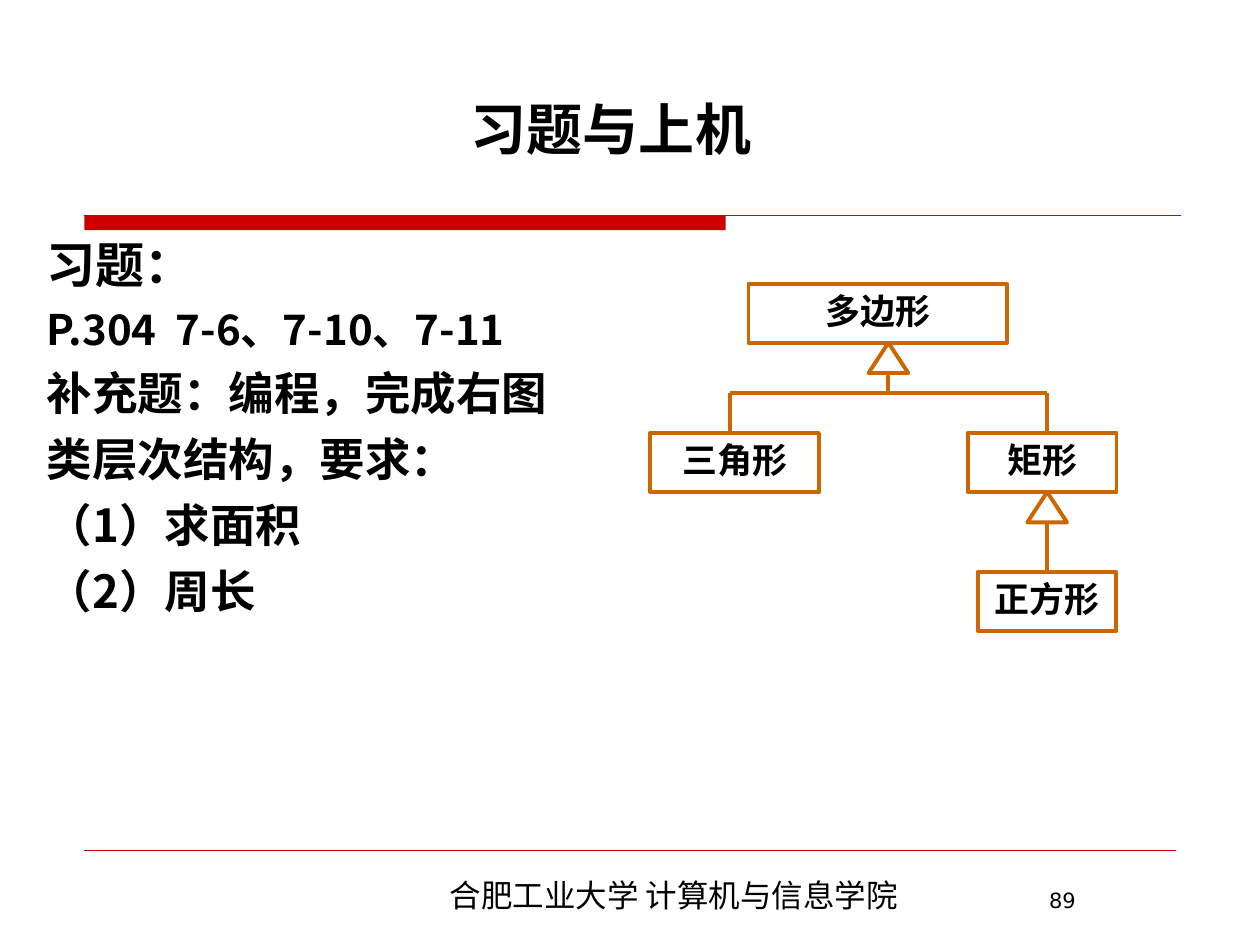
import pptx
import pptx.dml.color
import pptx.enum.shapes
import pptx.enum.text
import pptx.oxml.ns
import pptx.util
from lxml import etree

Cm, Pt = pptx.util.Cm, pptx.util.Pt
ALIGN = pptx.enum.text.PP_ALIGN
ANCHOR = pptx.enum.text.MSO_ANCHOR
SHAPE = pptx.enum.shapes.MSO_SHAPE
qn = pptx.oxml.ns.qn

COLORS = {"text": "000000", "rule": "CC0000", "diagram": "CC6600"}
CJK_FONT = "Noto Sans CJK SC"

BODY = [
    ("习题：", 28),
    ("P.304  7-6、7-10、7-11", 24),
    ("补充题：编程，完成右图", 26),
    ("类层次结构，要求：", 26),
    ("（1）求面积", 26),
    ("（2）周长", 26),
]

BOX_H = 1.19
CLASSES = [  # name, left, top, width
    ("多边形", 15.09, 5.72, 5.21),
    ("三角形", 13.11, 8.73, 3.4),
    ("矩形", 19.51, 8.73, 3.0),
    ("正方形", 19.71, 11.53, 2.79),
]
ARROW_W, ARROW_H = 0.8, 0.61
BUS_Y = 7.92
LEFT_X, ROOT_X, RIGHT_X = 14.71, 17.91, 21.11


def rgb(name):
    return pptx.dml.color.RGBColor.from_string(COLORS[name])


def place(sp, left, top, width, height):
    sp.left, sp.top, sp.width, sp.height = Cm(left), Cm(top), Cm(width), Cm(height)


def format_runs(p, size, font=CJK_FONT, bold=False):
    for r in p.runs:
        r.font.size, r.font.bold, r.font.name = Pt(size), bold, font
        r.font.color.rgb = rgb("text")
        ea = etree.SubElement(r._r.get_or_add_rPr(), qn("a:ea"))
        ea.set("typeface", CJK_FONT)


def add_line(slide, x1, y1, x2, y2, color="diagram", width=2.25):
    line = slide.shapes.add_connector(
        pptx.enum.shapes.MSO_CONNECTOR.STRAIGHT, Cm(x1), Cm(y1), Cm(x2), Cm(y2))
    line.line.color.rgb = rgb(color)
    line.line.width = Pt(width)
    etree.SubElement(line._element.spPr, qn("a:effectLst"))


def add_outline(slide, kind, left, top, width, height):
    sp = slide.shapes.add_shape(kind, Cm(left), Cm(top), Cm(width), Cm(height))
    sp.shadow.inherit = False
    sp.fill.background()
    sp.line.color.rgb = rgb("diagram")
    sp.line.width = Pt(2.25)
    return sp


def add_class_box(slide, name, left, top, width):
    tf = add_outline(slide, SHAPE.RECTANGLE, left, top, width, BOX_H).text_frame
    tf.margin_left = tf.margin_right = tf.margin_top = tf.margin_bottom = 0
    tf.word_wrap = False
    tf.vertical_anchor = ANCHOR.MIDDLE
    tf.text = name
    p = tf.paragraphs[0]
    p.alignment = ALIGN.CENTER
    p.line_spacing = 0.9
    format_runs(p, 20, "Times New Roman", True)


def add_inheritance(slide, x, top, bottom):
    """Hollow triangle under the base class with a stem down to bottom."""
    add_outline(slide, SHAPE.ISOSCELES_TRIANGLE,
                x - ARROW_W / 2, top, ARROW_W, ARROW_H)
    add_line(slide, x, top + ARROW_H, x, bottom)


def add_label(slide, text, left, top, width, height, size, font, align):
    tf = slide.shapes.add_textbox(Cm(left), Cm(top), Cm(width), Cm(height)).text_frame
    tf.word_wrap = True
    tf.vertical_anchor = ANCHOR.MIDDLE
    tf.text = text
    tf.paragraphs[0].alignment = align
    format_runs(tf.paragraphs[0], size, font)


def fill_title(sp):
    place(sp, 1.5, 1.52, 21.64, 1.75)
    tf = sp.text_frame
    tf.auto_size = pptx.enum.text.MSO_AUTO_SIZE.NONE
    tf.vertical_anchor = ANCHOR.BOTTOM
    tf.margin_bottom = 0
    tf.text = "习题与上机"
    p = tf.paragraphs[0]
    p.alignment = ALIGN.CENTER
    p.line_spacing = Pt(38.4)
    format_runs(p, 32, bold=True)


def fill_body(sp):
    place(sp, 0.69, 4.52, 22.81, 15.19)
    tf = sp.text_frame
    tf.auto_size = pptx.enum.text.MSO_AUTO_SIZE.NONE
    tf.margin_top = Cm(0.2)
    tf.text = "\n".join(text for text, _ in BODY)
    for i, (p, (_, size)) in enumerate(zip(tf.paragraphs, BODY)):
        pPr = p._p.get_or_add_pPr()
        pPr.set("marL", str(Cm(1.3)))
        pPr.set("indent", str(-Cm(1.3)))
        etree.SubElement(pPr, qn("a:buNone"))
        p.line_spacing = Pt(1.2 * size)
        p.space_before = Pt(size / 4 if i else 0)
        format_runs(p, size, bold=True)


def add_rules(slide):
    bar = slide.shapes.add_shape(SHAPE.RECTANGLE, Cm(1.7), Cm(4.34), Cm(12.93), Cm(0.3))
    bar.shadow.inherit = False
    bar.fill.solid()
    bar.fill.fore_color.rgb = rgb("rule")
    bar.line.fill.background()
    add_line(slide, 1.7, 4.34, 23.8, 4.34, "rule", 0.75)
    add_line(slide, 1.7, 17.15, 23.7, 17.15, "rule", 0.25)


def add_diagram(slide):
    for box in CLASSES:
        add_class_box(slide, *box)
    base, child, rectangle, square = (top for _, _, top, _ in CLASSES)
    add_inheritance(slide, ROOT_X, base + BOX_H, BUS_Y)
    add_line(slide, LEFT_X, BUS_Y, RIGHT_X, BUS_Y)
    for x in (LEFT_X, RIGHT_X):
        add_line(slide, x, BUS_Y, x, child)
    add_inheritance(slide, RIGHT_X, rectangle + BOX_H, square)


def main():
    prs = pptx.Presentation()
    prs.slide_width, prs.slide_height = Cm(25.4), Cm(19.05)
    slide = prs.slides.add_slide(prs.slide_layouts[1])
    add_rules(slide)
    fill_title(slide.shapes.title)
    fill_body(slide.placeholders[1])
    add_diagram(slide)
    add_label(slide, "合肥工业大学 计算机与信息学院",
              5.89, 17.53, 15.39, 1.02, 18, CJK_FONT, ALIGN.CENTER)
    add_label(slide, "89", 20.9, 17.78, 3.81, 0.74, 12, "DejaVu Sans", ALIGN.LEFT)
    prs.save("out.pptx")


if __name__ == "__main__":
    main()
